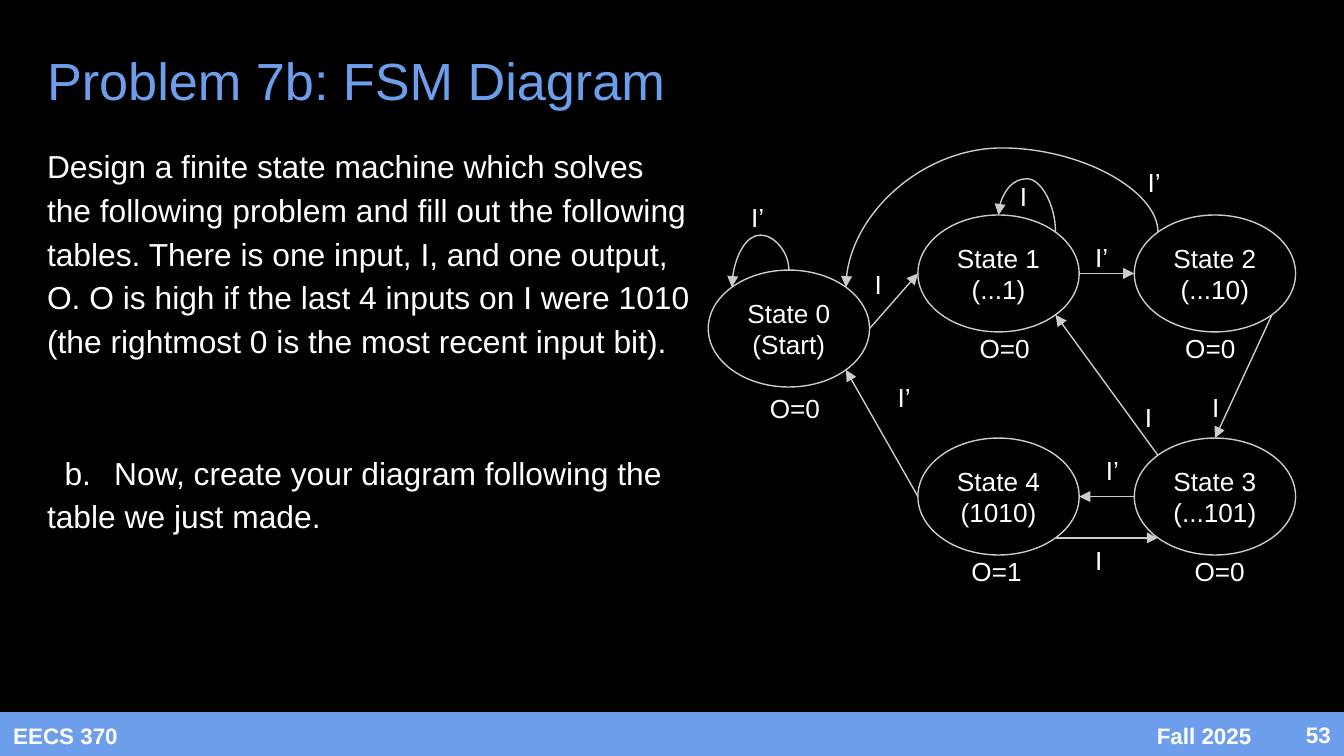
from lxml.etree import SubElement
from pptx import Presentation
from pptx.dml.color import RGBColor
from pptx.enum.shapes import MSO_CONNECTOR, MSO_SHAPE
from pptx.enum.text import MSO_ANCHOR, MSO_AUTO_SIZE, PP_ALIGN
from pptx.oxml.ns import qn
from pptx.util import Inches, Pt

BLACK = RGBColor(0x00, 0x00, 0x00)
WHITE = RGBColor(0xFF, 0xFF, 0xFF)
BLUE = RGBColor(0x6D, 0x9E, 0xEB)
GREY = RGBColor(0xCC, 0xCC, 0xCC)

STATE_WIDTH, STATE_HEIGHT = 1.2, 0.87
DIAGONAL = 0.5 ** 0.5
SITES = {
    "n": (0, -1), "e": (1, 0), "s": (0, 1), "w": (-1, 0),
    "ne": (DIAGONAL, -DIAGONAL), "se": (DIAGONAL, DIAGONAL),
    "nw": (-DIAGONAL, -DIAGONAL), "sw": (-DIAGONAL, DIAGONAL),
}

# Left and top of each state, with its caption
STATES = {
    0: (5.27, 2.01, "(Start)"),
    1: (6.83, 1.6, "(...1)"),
    2: (8.44, 1.6, "(...10)"),
    3: (8.44, 3.26, "(...101)"),
    4: (6.83, 3.26, "(1010)"),
}
STRAIGHT_ARROWS = [
    (0, "e", 1, "w"), (1, "e", 2, "w"), (2, "se", 3, "n"), (3, "nw", 1, "se"),
    (3, "w", 4, "e"), (4, "se", 3, "sw"), (4, "w", 0, "se"),
]
# The last number is the height of the curve's top edge
CURVED_ARROWS = [
    (0, "n", 0, "nw", 1.75), (1, "ne", 1, "n", 1.33), (2, "nw", 0, "ne", 1.1),
]
LABELS = [
    ("O=0", 5.63, 2.82), ("O=0", 7.19, 2.37), ("O=0", 8.72, 2.37),
    ("O=1", 7.13, 4.03), ("O=0", 8.79, 4.03),
    ("I’", 5.49, 1.4), ("I’", 8.05, 1.7), ("I’", 8.44, 1.14),
    ("I’", 6.58, 2.74), ("I’", 8.13, 3.28),
    ("I", 6.41, 1.9), ("I", 7.49, 1.24), ("I", 8.42, 2.89),
    ("I", 8.92, 2.81), ("I", 8.05, 3.95),
]


def write(para, text, size=14, color=WHITE, bold=False, align=PP_ALIGN.LEFT):
    """Put text into a paragraph with the given format."""
    span = para.add_run()
    span.text = text
    span.font.name = "Arial"
    span.font.size = Pt(size)
    span.font.bold = bold
    span.font.color.rgb = color
    para.alignment = align


def site(state, name):
    """Point on the outline of a state, in inches."""
    left, top, _ = STATES[state]
    across, down = SITES[name]
    return (left + STATE_WIDTH / 2 * (1 + across),
            top + STATE_HEIGHT / 2 * (1 + down))


class SlideBuilder:
    def __init__(self, page, line_color=GREY, line_width=0.75):
        self.page = page
        self.line_color = line_color
        self.line_width = Pt(line_width)
        page.background.fill.solid()
        page.background.fill.fore_color.rgb = BLACK

    def frame(self, shape, inset=0.1, anchor=MSO_ANCHOR.MIDDLE):
        frame = shape.text_frame
        frame.word_wrap = True
        frame.auto_size = MSO_AUTO_SIZE.NONE
        frame.vertical_anchor = anchor
        frame.margin_left = frame.margin_right = Inches(0.1)
        frame.margin_top = frame.margin_bottom = Inches(inset)
        return frame

    def placeholder(self, holder, left, top, width, height, anchor):
        holder.left, holder.top = Inches(left), Inches(top)
        holder.width, holder.height = Inches(width), Inches(height)
        return self.frame(holder, inset=0.05, anchor=anchor)

    def title(self, text):
        frame = self.placeholder(self.page.shapes.title, 0.25, 0.25, 9.42, 0.69,
                                 MSO_ANCHOR.MIDDLE)
        write(frame.paragraphs[0], text, size=28, color=BLUE)

    def body(self, task, step):
        frame = self.placeholder(self.page.placeholders[1], 0.25, 1, 4.99, 3.14,
                                 MSO_ANCHOR.TOP)
        for text, indent, gap in ((task, 0, 0), (step, 0.13, 47)):
            para = frame.paragraphs[0] if text is task else frame.add_paragraph()
            properties = para._p.get_or_add_pPr()
            properties.set("marL", "0")
            properties.set("indent", str(Inches(indent)))
            SubElement(properties, qn("a:buNone"))
            if "\t" in text:
                tabs = SubElement(properties, qn("a:tabLst"))
                SubElement(tabs, qn("a:tab"), pos=str(Inches(0.55)), algn="l")
            para.line_spacing = 1.15
            para.space_before = Pt(gap)
            write(para, text, size=17)

    def text(self, text, left, top, width, height, anchor=MSO_ANCHOR.TOP, **style):
        box = self.page.shapes.add_textbox(
            Inches(left), Inches(top), Inches(width), Inches(height))
        write(self.frame(box, anchor=anchor).paragraphs[0], text, **style)

    def shape(self, kind, left, top, width, height):
        shape = self.page.shapes.add_shape(
            kind, Inches(left), Inches(top), Inches(width), Inches(height))
        shape.shadow.inherit = False
        return shape

    def bar(self, left, top, width, height):
        bar = self.shape(MSO_SHAPE.RECTANGLE, left, top, width, height)
        bar.fill.solid()
        bar.fill.fore_color.rgb = BLUE
        bar.line.fill.background()

    def state(self, name, caption, left, top):
        oval = self.shape(MSO_SHAPE.OVAL, left, top, STATE_WIDTH, STATE_HEIGHT)
        oval.fill.background()
        oval.line.color.rgb = self.line_color
        oval.line.width = self.line_width
        frame = self.frame(oval)
        write(frame.paragraphs[0], name, align=PP_ALIGN.CENTER)
        write(frame.add_paragraph(), caption, align=PP_ALIGN.CENTER)

    def arrow(self, start, end, kind=MSO_CONNECTOR.STRAIGHT):
        arrow = self.page.shapes.add_connector(
            kind, *(Inches(length) for length in (*start, *end)))
        arrow.line.color.rgb = self.line_color
        arrow.line.width = self.line_width
        SubElement(arrow.line._get_or_add_ln(), qn("a:tailEnd"), type="triangle")
        SubElement(arrow._element.spPr, qn("a:effectLst"))
        return arrow

    def curved_arrow(self, start, end, peak):
        """Curve that leaves upwards, built sideways and turned by 90 degrees."""
        middle_x, middle_y = (start[0] + end[0]) / 2, (start[1] + end[1]) / 2
        rise, reach = end[1] - start[1], start[0] - end[0]
        arrow = self.arrow((middle_x - rise / 2, middle_y - reach / 2),
                           (middle_x + rise / 2, middle_y + reach / 2),
                           MSO_CONNECTOR.CURVE)
        properties = arrow._element.spPr
        properties.find(qn("a:xfrm")).set("rot", str(90 * 60000))
        bend = round((peak - start[1]) / rise * 100000)
        SubElement(properties.find(qn("a:prstGeom")).find(qn("a:avLst")),
                   qn("a:gd"), name="adj1", fmla=f"val {bend}")


def main():
    # Widescreen page, 16 to 9
    deck = Presentation()
    deck.slide_width, deck.slide_height = Inches(10), Inches(10 * 9 / 16)
    builder = SlideBuilder(deck.slides.add_slide(deck.slide_layouts[1]))

    # Footer
    footer = {"size": 12, "bold": True, "anchor": MSO_ANCHOR.MIDDLE}
    builder.bar(0, 5.3, 10, 0.34)
    builder.text("EECS 370", 0, 5.3, 1.82, 0.34, **footer)
    builder.text("Fall 2025", 7.59, 5.3, 1.82, 0.34, align=PP_ALIGN.RIGHT, **footer)
    builder.text("53", 9.41, 5.3, 0.59, 0.33, align=PP_ALIGN.RIGHT, **footer)

    # Title and task
    builder.title("Problem 7b: FSM Diagram")
    builder.body(
        "Design a finite state machine which solves the following problem and "
        "fill out the following tables. There is one input, I, and one output, "
        "O. O is high if the last 4 inputs on I were 1010 (the rightmost 0 is "
        "the most recent input bit).",
        "b.\tNow, create your diagram following the table we just made.")

    # State diagram
    for number, (left, top, caption) in STATES.items():
        builder.state(f"State {number}", caption, left, top)
    for source, leave, target, enter in STRAIGHT_ARROWS:
        builder.arrow(site(source, leave), site(target, enter))
    for source, leave, target, enter, peak in CURVED_ARROWS:
        builder.curved_arrow(site(source, leave), site(target, enter), peak)
    for text, left, top in LABELS:
        builder.text(text, left, top, 0.63 if "=" in text else 0.37, 0.44)

    deck.save("out.pptx")


if __name__ == "__main__":
    main()
